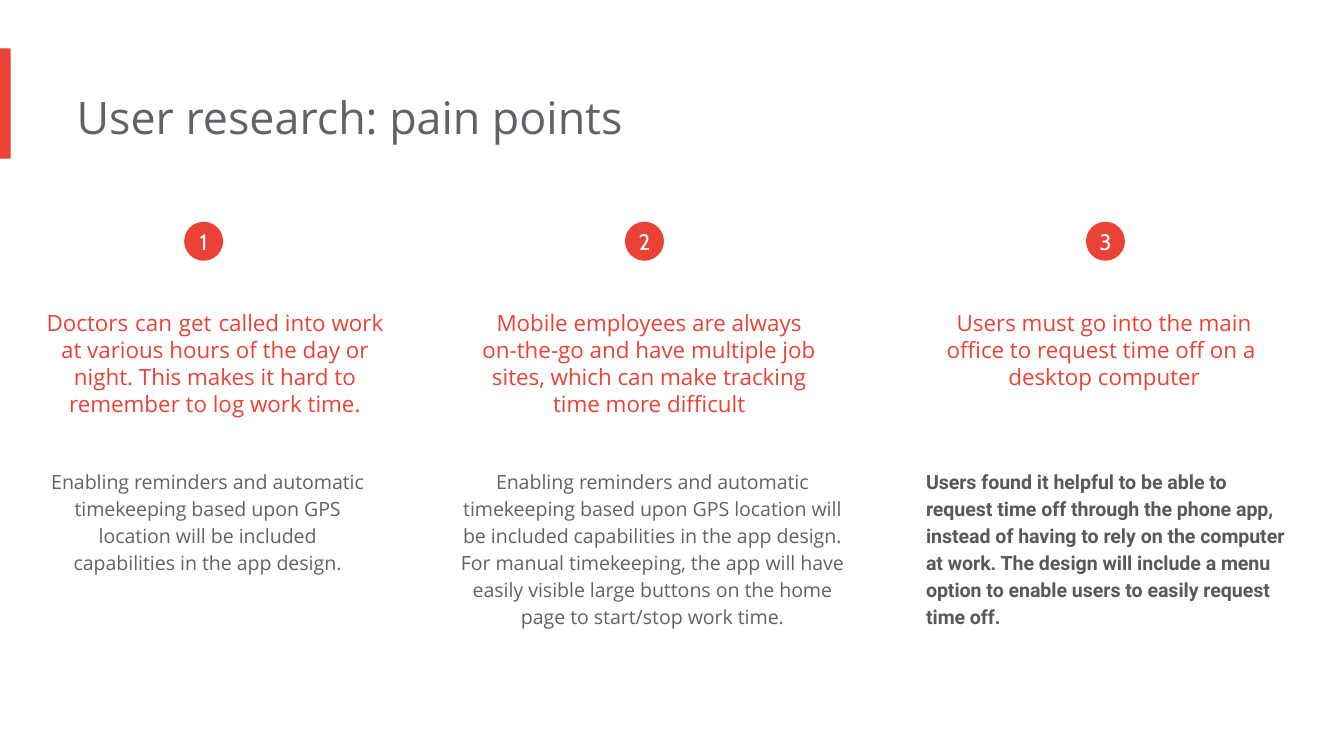
from dataclasses import dataclass

import pptx
import pptx.dml.color
import pptx.enum.shapes
import pptx.enum.text
import pptx.util

Inches = pptx.util.Inches
Pt = pptx.util.Pt
RGB = pptx.dml.color.RGBColor
Align = pptx.enum.text.PP_ALIGN
Shape = pptx.enum.shapes.MSO_SHAPE

SLIDE_WIDTH = 10
SLIDE_HEIGHT = SLIDE_WIDTH * 9 / 16


@dataclass(frozen=True)
class Theme:
    accent: RGB = RGB.from_string("EA4335")
    title_gray: RGB = RGB.from_string("5F6368")
    dark_gray: RGB = RGB.from_string("595959")
    white: RGB = RGB.from_string("FFFFFF")
    main_font: str = "Open Sans"
    badge_font: str = "Cabin"
    bold_font: str = "Roboto"
    title_size: float = 24
    heading_size: float = 12
    wide_space_size: float = 14
    body_size: float = 10.5


THEME = Theme()


@dataclass(frozen=True)
class Box:
    left: float
    top: float
    width: float
    height: float

    def inside(self, dx, dy, width, height):
        """Box placed relative to this one's top left corner."""
        return Box(self.left + dx, self.top + dy, width, height)

    def emu(self):
        return [Inches(n) for n in (self.left, self.top, self.width, self.height)]


@dataclass(frozen=True)
class PainPoint:
    number: str
    heading: tuple  # pieces joined by spaces of the larger size
    solution: str
    area: Box
    badge_dx: float
    heading_box: tuple  # dx, dy, width, height within the area
    solution_height: float
    emphasized: bool = False


PAIN_POINTS = [
    PainPoint(
        "1",
        ("Doctors", "can", "get",
         "called into work at various hours of the day or night. "
         "This makes it hard to remember to log work time."),
        "Enabling reminders and automatic timekeeping based upon GPS location "
        "will be included capabilities in the app design.",
        Box(0.34, 1.65, 2.51, 3.14), 1.03, (-0.03, 0.52, 2.68, 1.04), 1.01),
    PainPoint(
        "2",
        ("Mobile employees are always on-the-go and have multiple job sites, "
         "which can make tracking time more difficult",),
        "Enabling reminders and automatic timekeeping based upon GPS location "
        "will be included capabilities in the app design. For manual timekeeping, "
        "the app will have easily visible large buttons on the home page to "
        "start/stop work time.",
        Box(3.37, 1.65, 3.07, 3.14), 1.28, (0.2, 0.55, 2.62, 1.01), 1.42),
    PainPoint(
        "3",
        ("Users must go into the main office to request time off on a "
         "\vdesktop computer",),
        "Users found it helpful to be able to request time off through the phone app, "
        "instead of having to rely on the computer at work. The design will include "
        "a menu option to enable users to easily request time off.",
        Box(6.89, 1.65, 2.79, 3.14), 1.19, (0.08, 0.55, 2.59, 0.81), 1.22,
        emphasized=True),
]


def style(font, name, size, color, bold=False):
    font.name = name
    font.size = Pt(size)
    font.bold = bold
    font.color.rgb = color


def add_filled_shape(slide, kind, box):
    shape = slide.shapes.add_shape(kind, *box.emu())
    shape.shadow.inherit = False
    shape.fill.solid()
    shape.fill.fore_color.rgb = THEME.accent
    shape.line.fill.background()
    return shape


def add_text(slide, box, text, alignment):
    frame = slide.shapes.add_textbox(*box.emu()).text_frame
    frame.word_wrap = True
    frame.auto_size = pptx.enum.text.MSO_AUTO_SIZE.SHAPE_TO_FIT_TEXT
    frame.margin_left = 0
    frame.margin_top = frame.margin_right = frame.margin_bottom = Inches(0.1)
    frame.text = text
    paragraph = frame.paragraphs[0]
    paragraph.alignment = alignment
    return paragraph


def add_title(slide, box):
    # Accent bar at the slide edge, then the title
    add_filled_shape(slide, Shape.RECTANGLE, box.inside(0, 0, 0.08, box.height))
    title = add_text(slide, box.inside(0.57, 0.21, 6.73, 0.61),
                     "User research: pain points", Align.LEFT)
    style(title.runs[0].font, THEME.main_font, THEME.title_size, THEME.title_gray)


def add_pain_point(slide, point):
    area = point.area

    # Numbered badge
    badge = add_filled_shape(slide, Shape.OVAL,
                             area.inside(point.badge_dx, 0, 0.29, 0.29))
    frame = badge.text_frame
    frame.margin_left = frame.margin_top = frame.margin_right = frame.margin_bottom = 0
    frame.vertical_anchor = pptx.enum.text.MSO_ANCHOR.MIDDLE
    frame.text = point.number
    number = frame.paragraphs[0]
    number.alignment = Align.CENTER
    style(number.runs[0].font, THEME.badge_font, THEME.heading_size, THEME.white)

    # Pain point heading
    first, *rest = point.heading
    heading = add_text(slide, area.inside(*point.heading_box), first, Align.CENTER)
    for words in rest:
        for piece in (" ", words):
            heading.add_run().text = piece
    for run in heading.runs:
        size = THEME.wide_space_size if run.text == " " else THEME.heading_size
        style(run.font, THEME.main_font, size, THEME.accent)

    # Design response
    solution = add_text(slide, area.inside(0, 1.72, area.width, point.solution_height),
                        point.solution,
                        Align.LEFT if point.emphasized else Align.CENTER)
    solution.line_spacing = 1.15
    font, color = ((THEME.bold_font, THEME.dark_gray) if point.emphasized
                   else (THEME.main_font, THEME.title_gray))
    style(solution.runs[0].font, font, THEME.body_size, color, point.emphasized)


def main():
    deck = pptx.Presentation()
    deck.slide_width = Inches(SLIDE_WIDTH)
    deck.slide_height = Inches(SLIDE_HEIGHT)
    slide = deck.slides.add_slide(deck.slide_layouts[6])
    add_title(slide, Box(0, 0.36, 7.3, 0.82))
    for point in PAIN_POINTS:
        add_pain_point(slide, point)
    deck.save("out.pptx")


if __name__ == "__main__":
    main()
